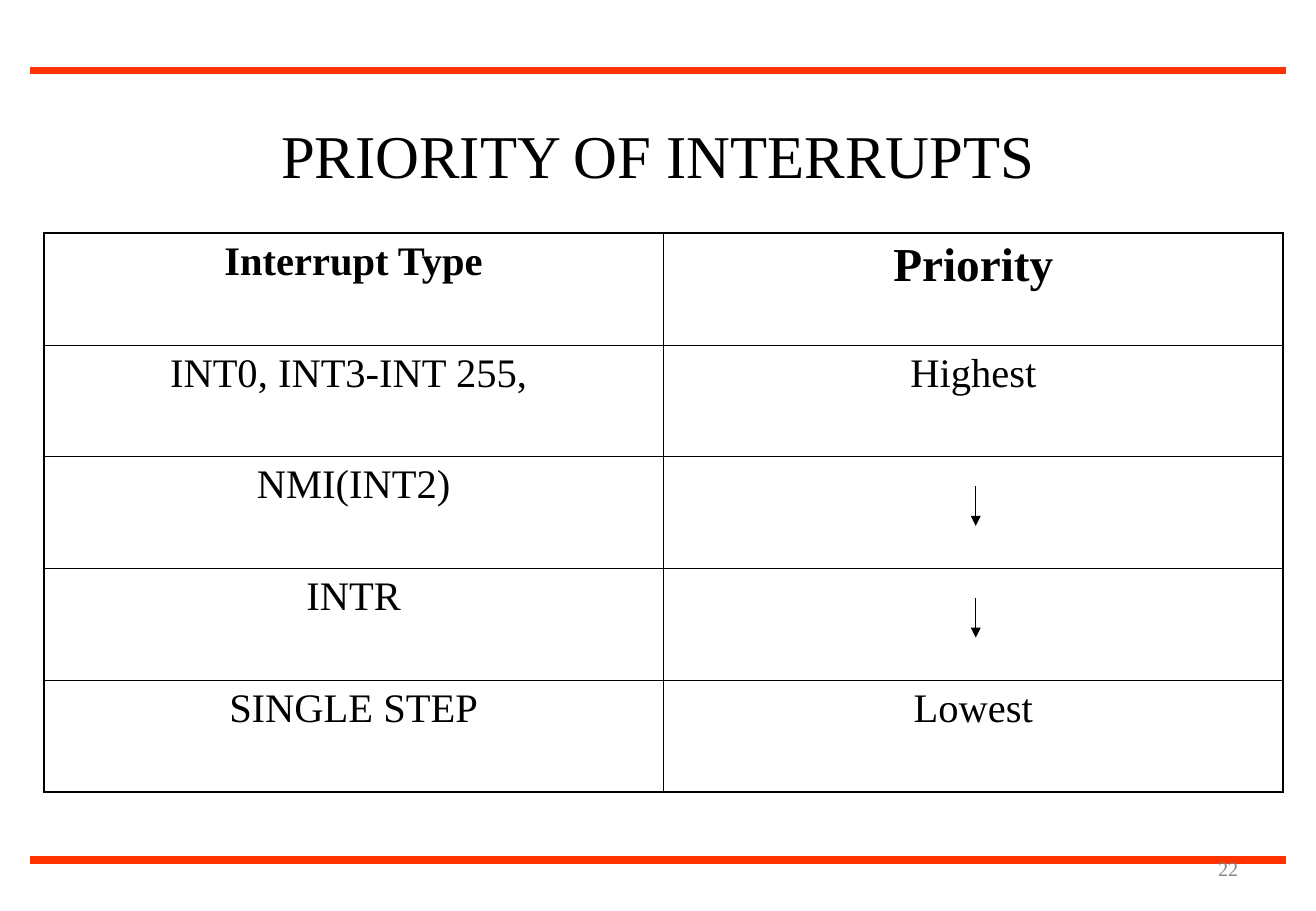
from dataclasses import dataclass

from lxml.etree import SubElement
from pptx import Presentation
from pptx.dml.color import RGBColor
from pptx.enum.shapes import MSO_CONNECTOR
from pptx.enum.text import MSO_ANCHOR, MSO_AUTO_SIZE, PP_ALIGN
from pptx.oxml.ns import qn
from pptx.slide import Slide
from pptx.table import Table, _Cell
from pptx.text.text import _Paragraph
from pptx.util import Inches, Pt


@dataclass(frozen=True)
class Theme:
    font: str = "Times New Roman"
    ink: str = "000000"
    accent: str = "FF3300"
    muted: str = "898989"
    title_size: int = 36
    priority_size: int = 28
    cell_size: int = 24
    number_size: int = 12
    outer_border: float = 1.08
    inner_border: float = 0.45


@dataclass(frozen=True)
class Rule:
    start: tuple[float, float]
    end: tuple[float, float]
    color: str
    weight: float
    arrow: bool = False


@dataclass(frozen=True)
class Entry:
    text: str
    size: int
    bold: bool = False
    space_before: int = 6


THEME = Theme()
SLIDE_WIDTH, SLIDE_HEIGHT = 10.83, 7.5
TABLE_LEFT, TABLE_TOP = 0.36, 1.92
COLUMN_WIDTH, ROW_HEIGHT = 5.1, 0.92

HEADER = (
    Entry("Interrupt Type", THEME.cell_size, bold=True),
    Entry("Priority", THEME.priority_size, bold=True, space_before=7),
)
INTERRUPTS = (
    ("INT0, INT3-INT 255, ", "Highest"),
    ("NMI(INT2)", ""),
    ("INTR", ""),
    ("SINGLE STEP", "Lowest"),
)
ROWS = (HEADER, *(tuple(Entry(text, THEME.cell_size) for text in row) for row in INTERRUPTS))

PAGE_RULES = [Rule((0.25, y), (10.58, y), THEME.accent, 4.5) for y in (0.58, 7.08)]
PRIORITY_ARROWS = [
    Rule((8.03, y), (8.03, y + 0.33), THEME.ink, 0.75, arrow=True) for y in (4, 4.92)
]


def format_paragraph(paragraph: _Paragraph, size: int, color: str,
                     align: PP_ALIGN, bold: bool = False) -> None:
    paragraph.alignment = align
    paragraph.font.name = THEME.font
    paragraph.font.size = Pt(size)
    paragraph.font.bold = bold
    paragraph.font.color.rgb = RGBColor.from_string(color)


def draw_rule(slide: Slide, rule: Rule) -> None:
    points = [Inches(value) for value in (*rule.start, *rule.end)]
    connector = slide.shapes.add_connector(MSO_CONNECTOR.STRAIGHT, *points)
    connector.line.color.rgb = RGBColor.from_string(rule.color)
    connector.line.width = Pt(rule.weight)
    if rule.arrow:
        SubElement(connector.line._get_or_add_ln(), qn("a:tailEnd"), type="triangle")
    SubElement(connector._element.spPr, qn("a:effectLst"))


def draw_borders(cell: _Cell, outer_sides: dict[str, bool]) -> None:
    properties = cell._tc.get_or_add_tcPr()
    for side, is_outer in outer_sides.items():
        weight = THEME.outer_border if is_outer else THEME.inner_border
        border = SubElement(properties, qn(f"a:ln{side}"), w=str(int(Pt(weight))))
        fill = SubElement(border, qn("a:solidFill"))
        SubElement(fill, qn("a:srgbClr"), val=THEME.ink)


def fill_cell(cell: _Cell, entry: Entry) -> None:
    cell.margin_left = cell.margin_right = Inches(0.11)
    cell.margin_top = cell.margin_bottom = Inches(0.05)
    cell.vertical_anchor = MSO_ANCHOR.TOP
    cell.fill.background()
    if entry.text:
        cell.text = entry.text
        paragraph = cell.text_frame.paragraphs[0]
        format_paragraph(paragraph, entry.size, THEME.ink, PP_ALIGN.CENTER, entry.bold)
        paragraph.space_before = Pt(entry.space_before)


def draw_priority_table(slide: Slide) -> None:
    row_count, column_count = len(ROWS), len(HEADER)
    priorities: Table = slide.shapes.add_table(
        row_count, column_count, Inches(TABLE_LEFT), Inches(TABLE_TOP),
        Inches(COLUMN_WIDTH * column_count), Inches(ROW_HEIGHT * row_count),
    ).table
    priorities.first_row = priorities.horz_banding = False
    for row_index, row in enumerate(ROWS):
        for column_index, entry in enumerate(row):
            cell = priorities.cell(row_index, column_index)
            draw_borders(cell, {
                "L": column_index == 0,
                "R": column_index == column_count - 1,
                "T": row_index == 0,
                "B": row_index == row_count - 1,
            })
            fill_cell(cell, entry)


def draw_title(slide: Slide) -> None:
    title = slide.shapes.title
    title.left, title.top = Inches(0), Inches(0.92)
    title.width, title.height = Inches(SLIDE_WIDTH), Inches(0.7)
    title.text = "PRIORITY OF INTERRUPTS"
    title.text_frame.vertical_anchor = MSO_ANCHOR.TOP
    title.text_frame.auto_size = MSO_AUTO_SIZE.SHAPE_TO_FIT_TEXT
    format_paragraph(title.text_frame.paragraphs[0], THEME.title_size,
                     THEME.ink, PP_ALIGN.CENTER)


def draw_page_number(slide: Slide) -> None:
    page_number = slide.shapes.add_textbox(
        Inches(7.76), Inches(6.95), Inches(2.53), Inches(0.4)).text_frame
    page_number.word_wrap = True
    page_number.vertical_anchor = MSO_ANCHOR.MIDDLE
    page_number.text = "22"
    format_paragraph(page_number.paragraphs[0], THEME.number_size,
                     THEME.muted, PP_ALIGN.RIGHT)


def main() -> None:
    presentation = Presentation()
    presentation.slide_width = Inches(SLIDE_WIDTH)
    presentation.slide_height = Inches(SLIDE_HEIGHT)
    slide = presentation.slides.add_slide(presentation.slide_layouts[5])

    # Page frame and heading
    for rule in PAGE_RULES:
        draw_rule(slide, rule)
    draw_title(slide)

    # Interrupts from highest to lowest priority
    draw_priority_table(slide)
    for arrow in PRIORITY_ARROWS:
        draw_rule(slide, arrow)

    # Footer
    draw_page_number(slide)
    presentation.save("out.pptx")


if __name__ == "__main__":
    main()
